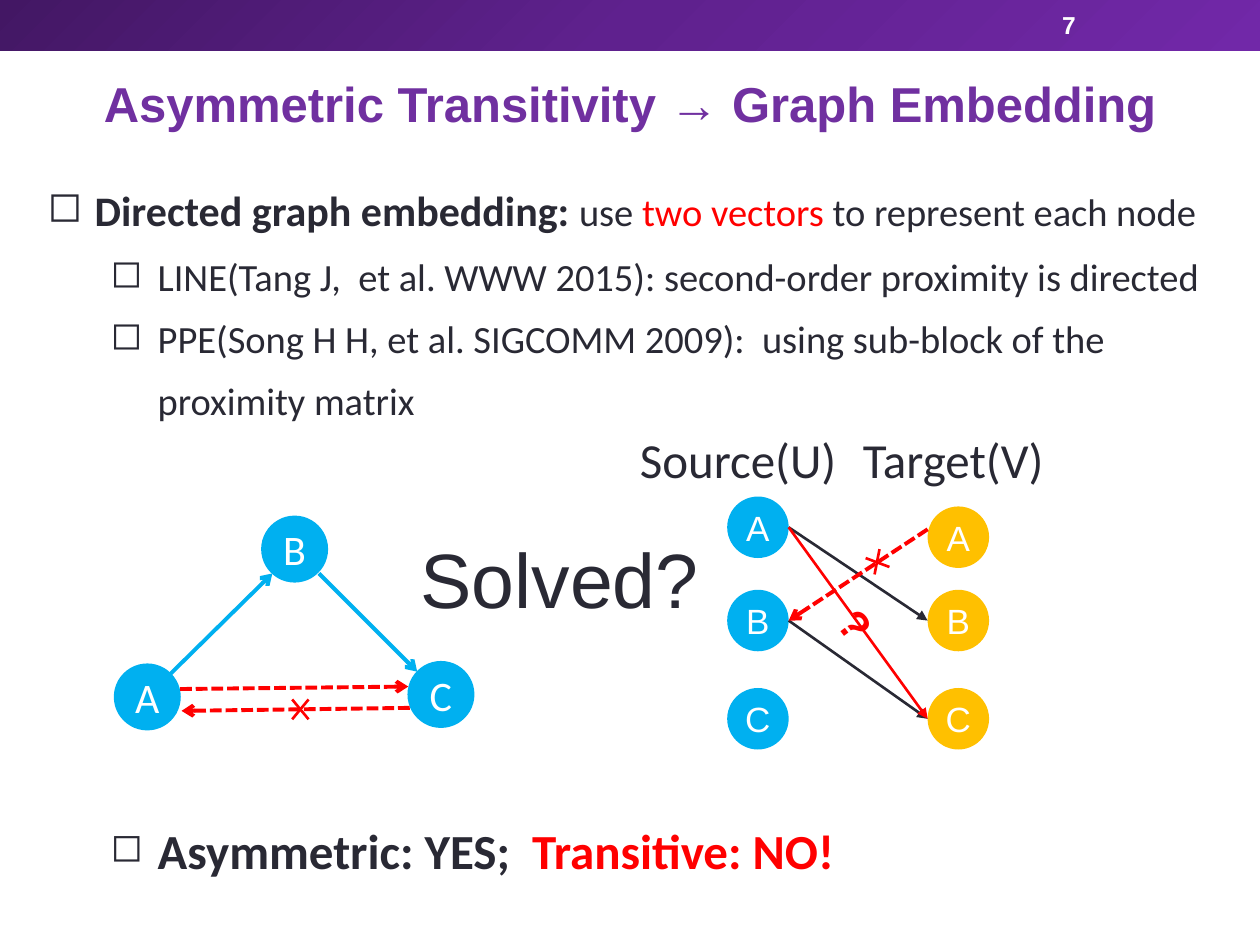
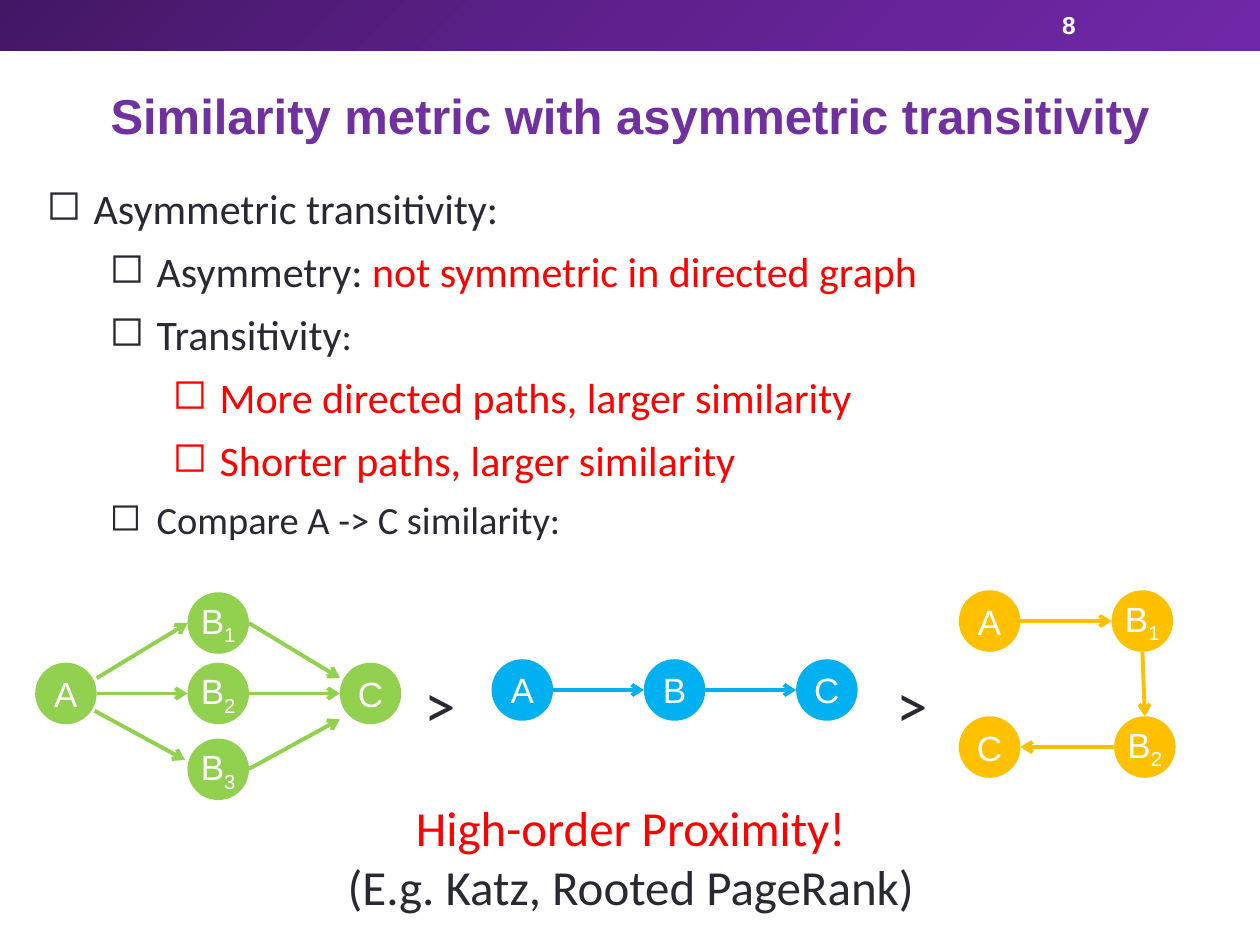
import copy

import pptx
import pptx.dml.color
import pptx.enum.dml
import pptx.enum.shapes
import pptx.enum.text
import pptx.oxml
import pptx.oxml.ns
import pptx.util

Cm = pptx.util.Cm
Pt = pptx.util.Pt
ALIGN = pptx.enum.text.PP_ALIGN
ANCHOR = pptx.enum.text.MSO_ANCHOR
SHAPE = pptx.enum.shapes.MSO_SHAPE

WIDTH, HEIGHT = 25.4, 19.05
BAND_HEIGHT = 1.02
BAND_STOPS = [(0, "431764"), (0.5, "5F218E"), (1, "7128A8")]
PURPLE, INK, RED, WHITE = "7030A0", "292934", "FF0000", "FFFFFF"
BLUE, GREEN, AMBER = "00B0F0", "92D050", "FFC000"
HEADING_FONT, BODY_FONT = "Arial", "Calibri"
NODE_SIZE = 1.24
NODE_RADIUS = NODE_SIZE / 2
BULLET_INDENT = 0.95
LEVEL_STEP = 1.27


def rgb(value):
    return pptx.dml.color.RGBColor.from_string(value)


def add_run(paragraph, text, size=24, color=INK, bold=False, font=BODY_FONT, baseline=None):
    run = paragraph.add_run()
    run.text = text
    run.font.size = Pt(size)
    run.font.bold = bold
    run.font.name = font
    run.font.color.rgb = rgb(color)
    if baseline is not None:
        run.font._element.set("baseline", str(baseline * 1000))


def add_text_box(slide, left, top, width, height, wrap=True, anchor=ANCHOR.TOP):
    shape = slide.shapes.add_textbox(Cm(left), Cm(top), Cm(width), Cm(height))
    shape.text_frame.word_wrap = wrap
    shape.text_frame.vertical_anchor = anchor
    return shape


def add_label(slide, text, left, top, width, height, align=ALIGN.CENTER, spacing=None,
              wrap=False, anchor=ANCHOR.MIDDLE, rotation=0, **format):
    shape = add_text_box(slide, left, top, width, height, wrap, anchor)
    shape.rotation = rotation
    paragraph = shape.text_frame.paragraphs[0]
    paragraph.alignment = align
    if spacing:
        paragraph.line_spacing = spacing
    add_run(paragraph, text, **format)


def next_paragraph(frame):
    first = frame.paragraphs[0]
    return frame.add_paragraph() if first.runs else first


def add_bullet(frame, level, spacing, runs, bullet_size=100):
    paragraph = next_paragraph(frame)
    paragraph.level = level
    paragraph.line_spacing = spacing
    properties = paragraph._p.get_or_add_pPr()
    properties.set("marL", str(Cm(BULLET_INDENT + level * LEVEL_STEP)))
    properties.set("indent", str(-Cm(BULLET_INDENT)))
    for tag, name, value in (("a:buSzPct", "val", str(bullet_size * 1000)), ("a:buChar", "char", "◻")):
        element = pptx.oxml.parse_xml(f"<{tag} {pptx.oxml.ns.nsdecls('a')}/>")
        element.set(name, value)
        properties.append(element)
    for text, format in runs:
        add_run(paragraph, text, **format)


def add_band(slide):
    band = slide.shapes.add_shape(SHAPE.RECTANGLE, 0, 0, Cm(WIDTH), Cm(BAND_HEIGHT))
    band.shadow.inherit = False
    band.line.fill.background()
    band.fill.gradient()
    band.fill.gradient_angle = 315
    stop_list = band._element.spPr.find(".//" + pptx.oxml.ns.qn("a:gsLst"))
    stop_list.insert(1, copy.deepcopy(stop_list[0]))
    for stop, (position, color) in zip(band.fill.gradient_stops, BAND_STOPS):
        stop.position = position
        stop.color.rgb = rgb(color)


def add_page(presentation, number, title, title_top):
    slide = presentation.slides.add_slide(presentation.slide_layouts[6])
    add_band(slide)
    add_label(slide, str(number), 21.16, 0.05, 2.97, 0.91, align=ALIGN.LEFT, wrap=True,
              size=14, color=WHITE, bold=True, font=HEADING_FONT)
    add_label(slide, title, 0, title_top, WIDTH, 3.68, spacing=0.9, wrap=True,
              size=28, color=PURPLE, bold=True, font=HEADING_FONT)
    return slide


def add_node(slide, label, center, color, diameter=NODE_SIZE, size=20, font=HEADING_FONT):
    left, top = (value - diameter / 2 for value in center)
    node = slide.shapes.add_shape(SHAPE.OVAL, Cm(left), Cm(top), Cm(diameter), Cm(diameter))
    node.shadow.inherit = False
    node.fill.solid()
    node.fill.fore_color.rgb = rgb(color)
    node.line.fill.background()
    frame = node.text_frame
    frame.word_wrap = False
    frame.vertical_anchor = ANCHOR.MIDDLE
    paragraph = frame.paragraphs[0]
    paragraph.alignment = ALIGN.CENTER
    add_run(paragraph, label[0], size, WHITE, font=font)
    if label[1:]:
        add_run(paragraph, label[1:], size, WHITE, font=font, baseline=-25)


def add_line(slide, start, end, color, width=2.25, arrowhead="arrow", dashed=False):
    points = [Cm(value) for value in (*start, *end)]
    line = slide.shapes.add_connector(pptx.enum.shapes.MSO_CONNECTOR.STRAIGHT, *points)
    line.line.width = Pt(width)
    line.line.color.rgb = rgb(color)
    if dashed:
        line.line.dash_style = pptx.enum.dml.MSO_LINE.SQUARE_DOT
    namespace = pptx.oxml.ns.nsdecls("a")
    if arrowhead:
        tail = pptx.oxml.parse_xml(f'<a:tailEnd {namespace} type="{arrowhead}"/>')
        line.line._get_or_add_ln().append(tail)
    line._element.spPr.append(pptx.oxml.parse_xml(f"<a:effectLst {namespace}/>"))


def add_side_arrow(slide, start, end, color, **format):
    reach = NODE_RADIUS if end[0] > start[0] else -NODE_RADIUS
    add_line(slide, (start[0] + reach, start[1]), (end[0] - reach, end[1]), color, **format)


def add_cross(slide, strokes):
    for start, end in strokes:
        add_line(slide, start, end, RED, width=1.5, arrowhead=None)


def draw_triangle(slide):
    for label, center in (("A", (2.97, 14.05)), ("B", (5.94, 11.07)), ("C", (8.89, 14))):
        add_node(slide, label, center, BLUE, diameter=1.35, size=24, font=BODY_FONT)
    add_line(slide, (3.43, 13.59), (5.49, 11.56), BLUE)
    add_line(slide, (6.43, 11.56), (8.41, 13.54), BLUE)
    add_line(slide, (3.63, 13.89), (8.23, 13.84), RED, dashed=True)
    add_line(slide, (8.26, 14.27), (3.66, 14.33), RED, dashed=True)
    add_cross(slide, [((5.89, 14.1), (6.22, 14.5)), ((6.22, 14.1), (5.89, 14.5))])


def draw_source_target(slide):
    source = {"A": (15.28, 10.63), "B": (15.28, 12.51), "C": (15.28, 14.49)}
    target = {"A": (19.32, 10.83), "B": (19.32, 12.51), "C": (19.32, 14.49)}
    for text, left, width in (("Source(U)", 12.62, 4.52), ("Target(V)", 17.12, 4.19)):
        add_label(slide, text, left, 8.53, width, 1.45, size=28)
    for nodes, color in ((source, BLUE), (target, AMBER)):
        for label, center in nodes.items():
            add_node(slide, label, center, color)
    for start, end, color in (("A", "B", INK), ("B", "C", INK), ("A", "C", RED)):
        add_side_arrow(slide, source[start], target[end], color, width=1.5, arrowhead="triangle")
    add_label(slide, "?", 16.71, 12.04, 1.24, 1.27, align=ALIGN.LEFT, wrap=True, rotation=52.9,
              size=24, color=RED, bold=True, font=HEADING_FONT)
    add_line(slide, (18.7, 10.67), (15.9, 12.51), RED, dashed=True)
    add_cross(slide, [((17.45, 11.25), (17.93, 11.43)), ((17.73, 11.07), (17.63, 11.58))])


def draw_chain(slide, labels, left, middle, color):
    centers = [(left + index * 3.07, middle) for index in range(len(labels))]
    for label, center in zip(labels, centers):
        add_node(slide, label, center, color)
    for start, end in zip(centers, centers[1:]):
        add_side_arrow(slide, start, end, color)


def draw_three_paths(slide):
    draw_chain(slide, ("A", "B2", "C"), 1.33, 13.98, GREEN)
    add_node(slide, "B1", (4.4, 12.56), GREEN)
    add_node(slide, "B3", (4.4, 15.51), GREEN)
    for start, end in (
        ((1.95, 13.67), (3.78, 12.56)),
        ((5.02, 12.56), (6.85, 13.67)),
        ((1.91, 14.33), (3.73, 15.32)),
        ((5.02, 15.5), (6.85, 14.5)),
    ):
        add_line(slide, start, end, GREEN)


def draw_long_path(slide):
    path = [("A", (19.95, 12.52)), ("B1", (23.03, 12.52)), ("B2", (23.08, 15.06)), ("C", (19.95, 15.06))]
    for label, center in path:
        add_node(slide, label, center, AMBER)
    first, second, third, last = (center for label, center in path)
    add_side_arrow(slide, first, second, AMBER)
    add_line(slide, (second[0], second[1] + NODE_RADIUS), (third[0], third[1] - NODE_RADIUS), AMBER)
    add_side_arrow(slide, third, last, AMBER)


def build_embedding_slide(presentation):
    slide = add_page(presentation, 7, "Asymmetric Transitivity → Graph Embedding", 0.3)
    plain = {"size": 22}
    frame = add_text_box(slide, 0.71, 3.23, 24.05, 5.5).text_frame
    add_bullet(frame, 0, 1.35, [
        ("Directed graph embedding: ", {"bold": True}),
        ("use ", plain),
        ("two vectors ", {"size": 22, "color": RED}),
        ("to represent each node", plain),
    ])
    add_bullet(frame, 1, 1.4, [
        ("LINE(Tang J,  et al. WWW 2015): second-order proximity is directed", plain)])
    add_bullet(frame, 1, 1.35, [
        ("PPE(Song H H, et al. SIGCOMM 2009):  using sub-block of the proximity matrix", plain)])
    verdict = add_text_box(slide, 0.71, 16, 24.05, 1.9).text_frame
    add_bullet(verdict, 1, 1.35, [
        ("Asymmetric: YES;  ", {"size": 28, "bold": True}),
        ("Transitive: NO!", {"size": 28, "bold": True, "color": RED}),
    ], bullet_size=80)
    draw_source_target(slide)
    draw_triangle(slide)
    add_label(slide, "Solved?", 8.2, 10.59, 6.17, 2.13, size=44, font=HEADING_FONT)


def build_similarity_slide(presentation):
    slide = add_page(presentation, 8, "Similarity metric with asymmetric transitivity", 0.56)
    red = {"color": RED}
    frame = add_text_box(slide, 0.69, 3.3, 24.05, 8).text_frame
    for level, runs in (
        (0, [("Asymmetric transitivity:", {})]),
        (1, [("Asymmetry: ", {}), ("not symmetric in directed graph", red)]),
        (1, [("Transitivity", {}), (":", {"size": 22})]),
        (2, [("More directed paths, larger similarity", red)]),
        (2, [("Shorter paths, larger similarity", red)]),
        (1, [("Compare A -> C similarity:", {"size": 22})]),
    ):
        add_bullet(frame, level, 1.25, runs)
    draw_three_paths(slide)
    draw_chain(slide, ("A", "B", "C"), 10.53, 13.91, BLUE)
    draw_long_path(slide)
    for left in (7.87, 17.39):
        add_label(slide, ">", left, 13.27, 2, 1.8, size=36)
    conclusion = add_text_box(slide, 0.69, 15.95, 24.05, 2.7).text_frame
    for text, color in (("High-order Proximity!", RED), ("(E.g. Katz, Rooted PageRank)", INK)):
        paragraph = next_paragraph(conclusion)
        paragraph.alignment = ALIGN.CENTER
        add_run(paragraph, text, size=28, color=color)


def main():
    presentation = pptx.Presentation()
    presentation.slide_width = Cm(WIDTH)
    presentation.slide_height = Cm(HEIGHT)
    build_embedding_slide(presentation)
    build_similarity_slide(presentation)
    presentation.save("out.pptx")


if __name__ == "__main__":
    main()
